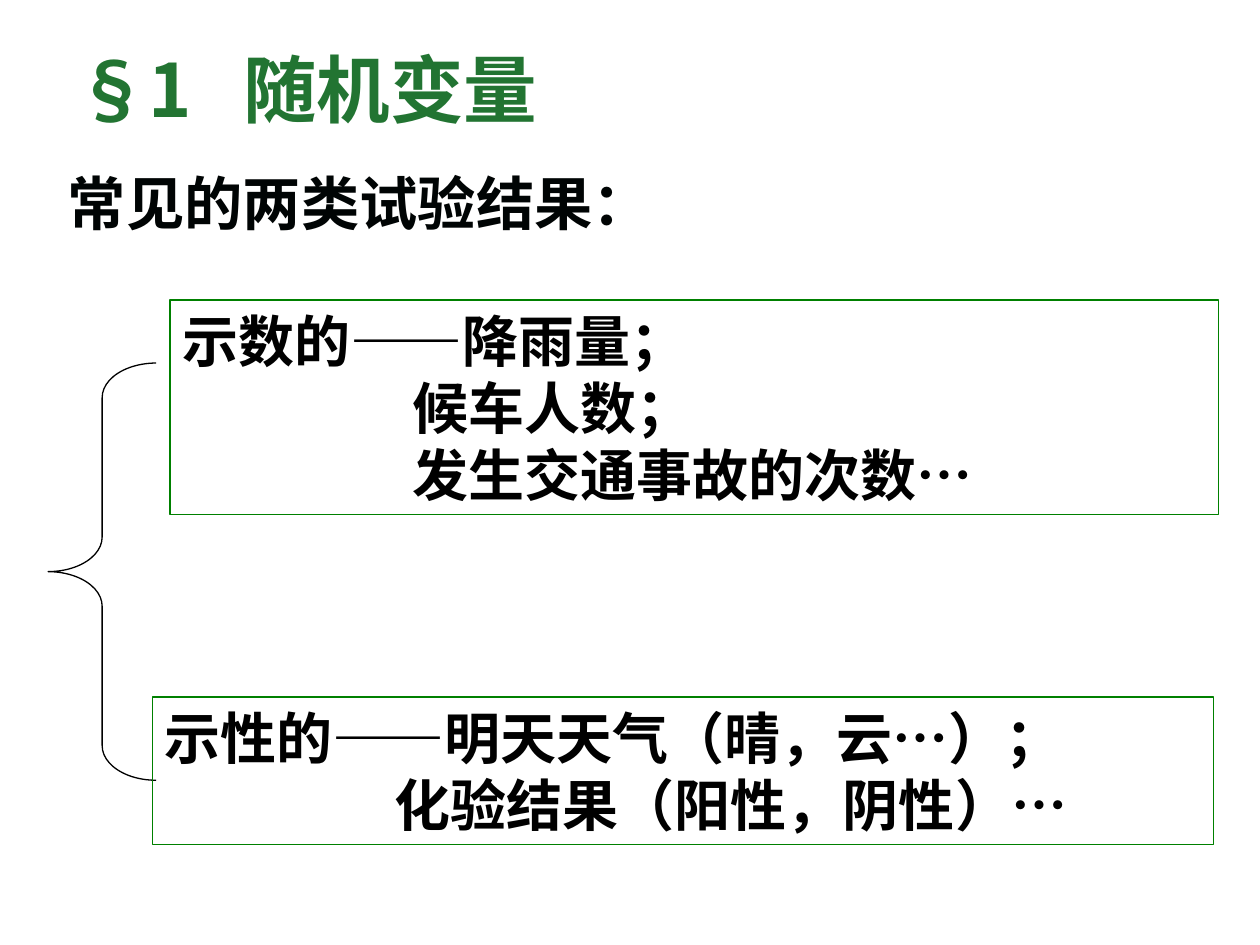
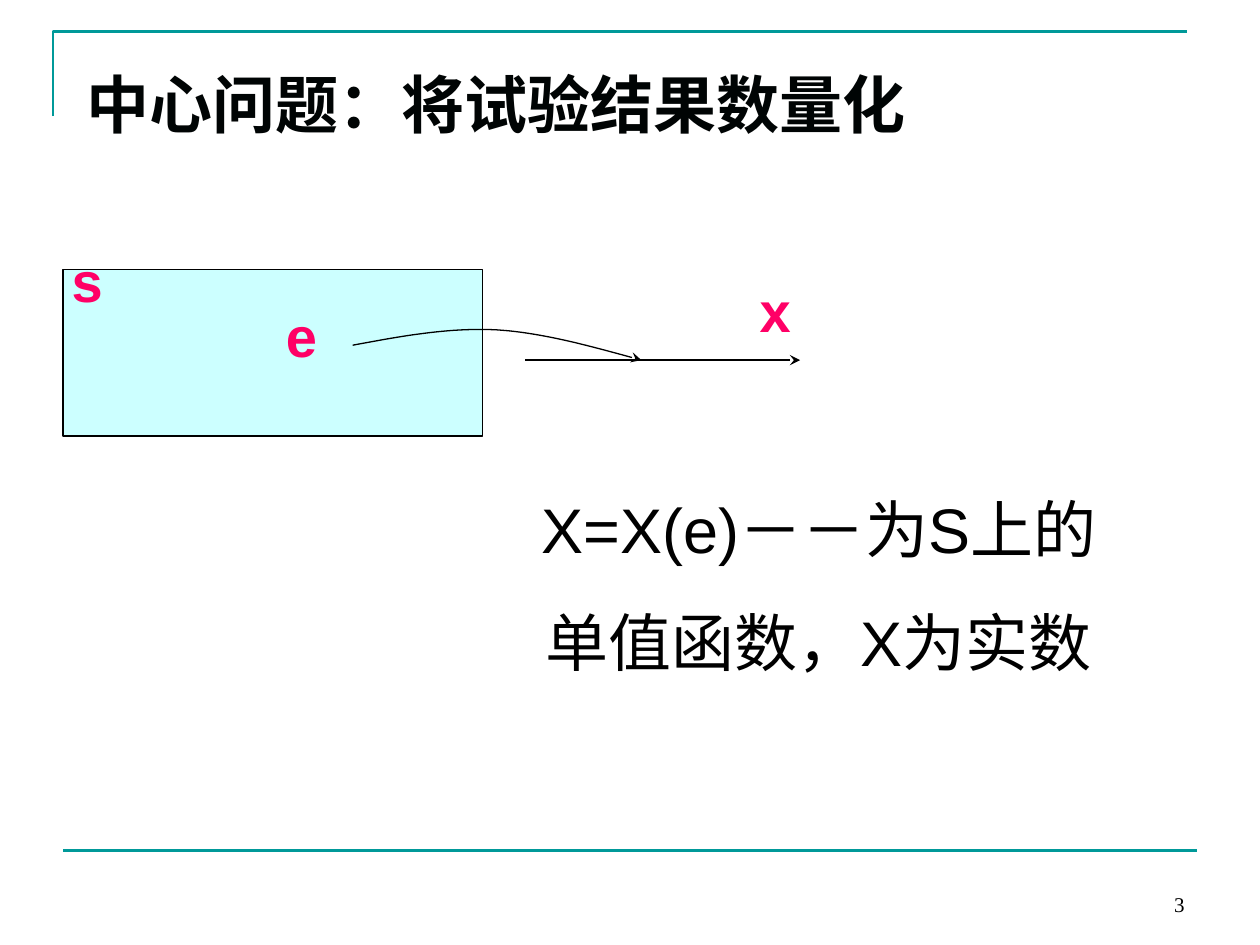
from dataclasses import dataclass

from lxml import etree
from pptx import Presentation
from pptx.dml.color import RGBColor
from pptx.enum.shapes import MSO_CONNECTOR, MSO_SHAPE
from pptx.enum.text import MSO_ANCHOR, PP_ALIGN
from pptx.oxml.ns import qn
from pptx.util import Cm, Pt

LEFT, CENTER, RIGHT = PP_ALIGN.LEFT, PP_ALIGN.CENTER, PP_ALIGN.RIGHT
TOP, BOTTOM = MSO_ANCHOR.TOP, MSO_ANCHOR.BOTTOM
RECTANGLE, LEFT_BRACE = MSO_SHAPE.RECTANGLE, MSO_SHAPE.LEFT_BRACE
STRAIGHT = MSO_CONNECTOR.STRAIGHT

COLORS = {
    "section": "227432",
    "heading": "000404",
    "ink": "000000",
    "box": "008000",
    "frame": "009999",
    "sample": "CCFFFF",
    "label": "FF0066",
}
CJK = "Noto Sans CJK SC"
LATIN = "Arial"
SERIF = "Times New Roman"
LINE_PITCH = 1.2  # line height as a share of the text size
THIN, FRAME = 0.75, 1.5
CURVE_STEPS = 24


@dataclass(frozen=True)
class Area:
    """A rectangle in centimetres."""
    left: float
    top: float
    width: float
    height: float

    def lengths(self) -> tuple:
        return Cm(self.left), Cm(self.top), Cm(self.width), Cm(self.height)


@dataclass(frozen=True)
class TextStyle:
    size: float
    font: str = LATIN
    color: str = "ink"
    bold: bool = False
    align: PP_ALIGN = LEFT
    anchor: MSO_ANCHOR = TOP
    spacing: float = 1.0
    wrap: bool = True
    side_inset: float = 0.25


@dataclass(frozen=True)
class ResultBox:
    """A kind of result: the first line, then indented examples."""
    area: Area
    first: str
    examples: tuple


SECTION = TextStyle(42, CJK, "section", True)
INTRO = TextStyle(33.3, CJK, "heading", True, spacing=0.9)
HEADING = TextStyle(36, CJK, "heading", True)
RESULT = TextStyle(32, bold=True)
LABEL = TextStyle(32, color="label", bold=True, align=CENTER, wrap=False)
FORMULA = TextStyle(36, align=CENTER, spacing=1.5, side_inset=0.13)
PAGE_NUMBER = TextStyle(12, SERIF, align=RIGHT, anchor=BOTTOM)

SECTION_TAB = 3.38
EXAMPLE_INDENT = 4.64

RESULT_BOXES = (
    ResultBox(Area(3.43, 6.05, 21.13, 4.32), "示数的——降雨量；",
              ("候车人数；", "发生交通事故的次数…")),
    ResultBox(Area(3.07, 14.05, 21.39, 2.97), "示性的——明天天气（晴，云…）；",
              ("化验结果（阳性，阴性）…",)),
)
# Letter, left, top
LABELS = (("e", 5.51, 5.94), ("s", 1.19, 4.83), ("x", 15.06, 5.44))
# Cubic segments, each with start, two controls and end
MAPPING_CURVE = (
    ((7.11, 6.96), (8.08, 6.78), (9.04, 6.6), (10.01, 6.65)),
    ((10.01, 6.65), (10.97, 6.71), (11.94, 6.99), (12.93, 7.26)),
)


def rgb(name: str) -> RGBColor:
    return RGBColor.from_string(COLORS[name])


def set_line(item, color: str, width: float, arrow: bool = False) -> None:
    item.line.color.rgb = rgb(color)
    item.line.width = Pt(width)
    if arrow:
        line = item.line._get_or_add_ln()
        etree.SubElement(line, qn("a:tailEnd"), type="stealth")


def add_outline(page, kind, area: Area, color: str, fill: str = ""):
    shape = page.shapes.add_shape(kind, *area.lengths())
    shape.shadow.inherit = False
    if fill:
        shape.fill.solid()
        shape.fill.fore_color.rgb = rgb(fill)
    else:
        shape.fill.background()
    set_line(shape, color, THIN)
    return shape


def add_line(page, start: tuple, end: tuple, color: str, width: float,
             arrow: bool = False) -> None:
    points = [Cm(value) for value in start + end]
    line = page.shapes.add_connector(STRAIGHT, *points)
    set_line(line, color, width, arrow)
    etree.SubElement(line._element.spPr, qn("a:effectLst"))


def add_path(page, points: list, color: str, width: float,
             arrow: bool = False) -> None:
    corners = [(Cm(x), Cm(y)) for x, y in points]
    builder = page.shapes.build_freeform(*corners[0])
    builder.add_line_segments(corners[1:], close=False)
    shape = builder.convert_to_shape()
    shape.shadow.inherit = False
    shape.fill.background()
    set_line(shape, color, width, arrow)


def curve_points(segments: tuple) -> list:
    """Points along joined cubic curves."""
    points = [segments[0][0]]
    for segment in segments:
        for step in range(1, CURVE_STEPS + 1):
            t = step / CURVE_STEPS
            weights = ((1 - t) ** 3, 3 * t * (1 - t) ** 2,
                       3 * t ** 2 * (1 - t), t ** 3)
            points.append(tuple(
                sum(weight * point[axis]
                    for weight, point in zip(weights, segment))
                for axis in (0, 1)))
    return points


def fill_text(box, lines: tuple, style: TextStyle, indent: float = 0,
              tab: float = 0) -> None:
    """Write the lines; those after the first take the indent."""
    frame = box.text_frame
    frame.word_wrap = style.wrap
    frame.vertical_anchor = style.anchor
    frame.margin_left = frame.margin_right = Cm(style.side_inset)
    frame.margin_top = frame.margin_bottom = Cm(0.13)
    for number, line in enumerate(lines):
        para = frame.add_paragraph() if number else frame.paragraphs[0]
        properties = para._p.get_or_add_pPr()
        if number and indent:
            properties.set("marL", str(Cm(indent)))
        if tab:
            stops = etree.SubElement(properties, qn("a:tabLst"))
            etree.SubElement(stops, qn("a:tab"), pos=str(Cm(tab)), algn="l")
        para.alignment = style.align
        para.line_spacing = Pt(style.size * LINE_PITCH * style.spacing)
        span = para.add_run()
        span.text = line
        span.font.size = Pt(style.size)
        span.font.bold = style.bold
        span.font.name = style.font
        span.font.color.rgb = rgb(style.color)
        etree.SubElement(span._r.get_or_add_rPr(), qn("a:ea"), typeface=CJK)


def add_text(page, area: Area, text: str, style: TextStyle,
             tab: float = 0) -> None:
    box = page.shapes.add_textbox(*area.lengths())
    fill_text(box, (text,), style, tab=tab)


def add_page(deck):
    return deck.slides.add_slide(deck.slide_layouts[6])


def add_frame(page, number: str) -> None:
    """Corner rule, bottom rule and page number."""
    add_path(page, [(1.07, 2.34), (1.07, 0.64), (23.93, 0.64)],
             "frame", FRAME)
    add_line(page, (1.27, 17.15), (24.13, 17.15), "frame", FRAME)
    add_text(page, Area(18.21, 17.35, 5.92, 1.27), number, PAGE_NUMBER)


def build_result_kinds(deck) -> None:
    page = add_page(deck)
    add_text(page, Area(1.27, 0.76, 22.86, 3.18), "§1\t随机变量",
             SECTION, tab=SECTION_TAB)
    add_text(page, Area(1.12, 3.38, 22.86, 1.75), "常见的两类试验结果：", INTRO)
    # Brace joining the two kinds
    brace = add_outline(page, LEFT_BRACE, Area(0.97, 7.32, 2.18, 8.41), "ink")
    brace.adjustments[0] = 0.32
    for result in RESULT_BOXES:
        box = add_outline(page, RECTANGLE, result.area, "box")
        fill_text(box, (result.first, *result.examples), RESULT,
                  indent=EXAMPLE_INDENT)


def build_mapping(deck) -> None:
    page = add_page(deck)
    add_frame(page, "3")
    # Sample space mapped onto the real axis
    add_outline(page, RECTANGLE, Area(1.27, 5.44, 8.46, 3.35), "ink", "sample")
    for letter, left, top in LABELS:
        add_text(page, Area(left, top, 1.14, 1.63), letter, LABEL)
    add_path(page, curve_points(MAPPING_CURVE), "ink", THIN, arrow=True)
    add_line(page, (10.59, 7.26), (16.13, 7.26), "ink", THIN, arrow=True)
    # Definition and heading
    add_text(page, Area(10.21, 8.99, 12.6, 4.83),
             "X=X(e)－－为S上的单值函数，X为实数", FORMULA)
    add_text(page, Area(1.5, 1.19, 19.94, 2.57),
             "中心问题：将试验结果数量化", HEADING)


def main() -> None:
    deck = Presentation()
    deck.slide_width, deck.slide_height = Cm(25.4), Cm(19.05)
    build_result_kinds(deck)
    build_mapping(deck)
    deck.save("out.pptx")


if __name__ == "__main__":
    main()
